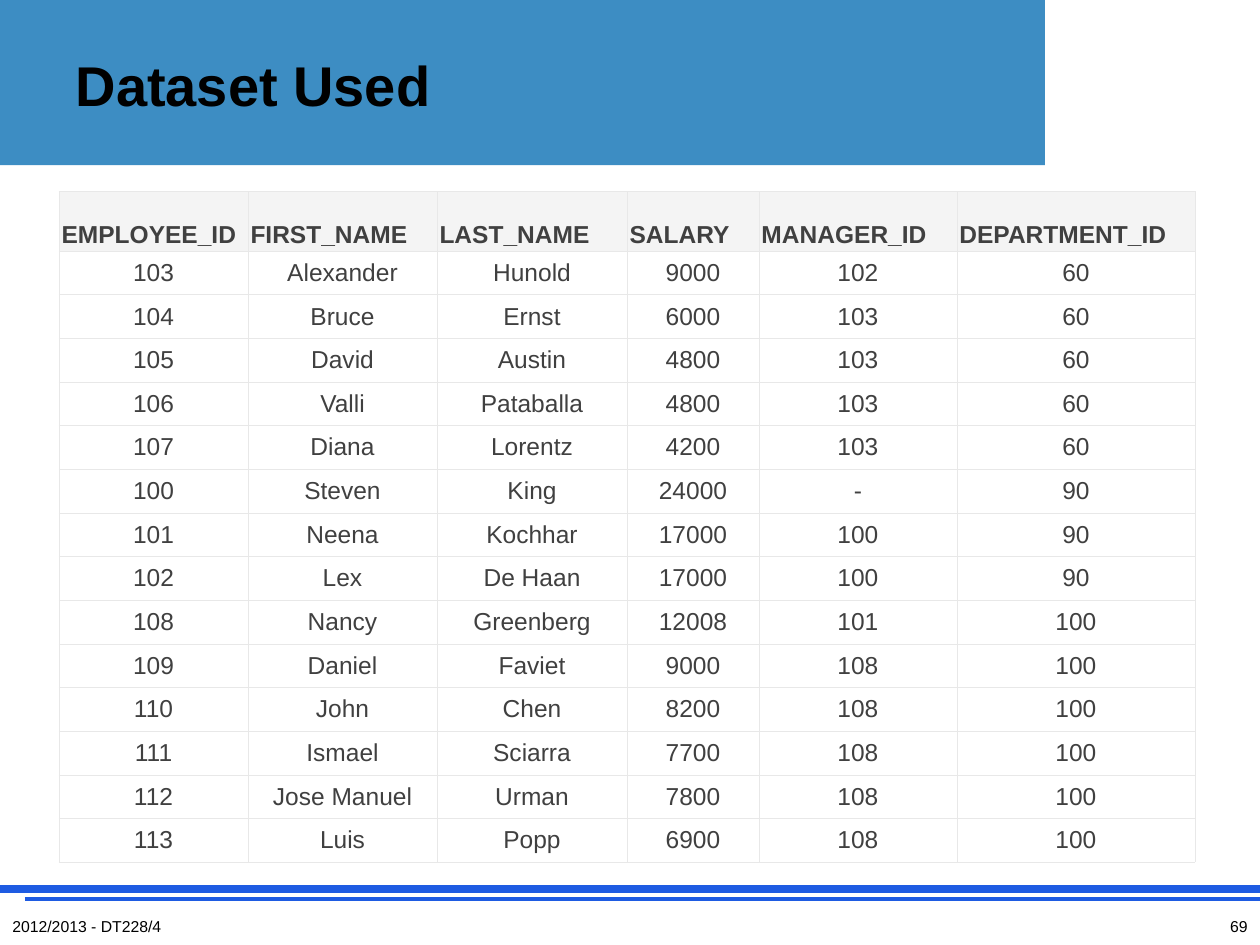
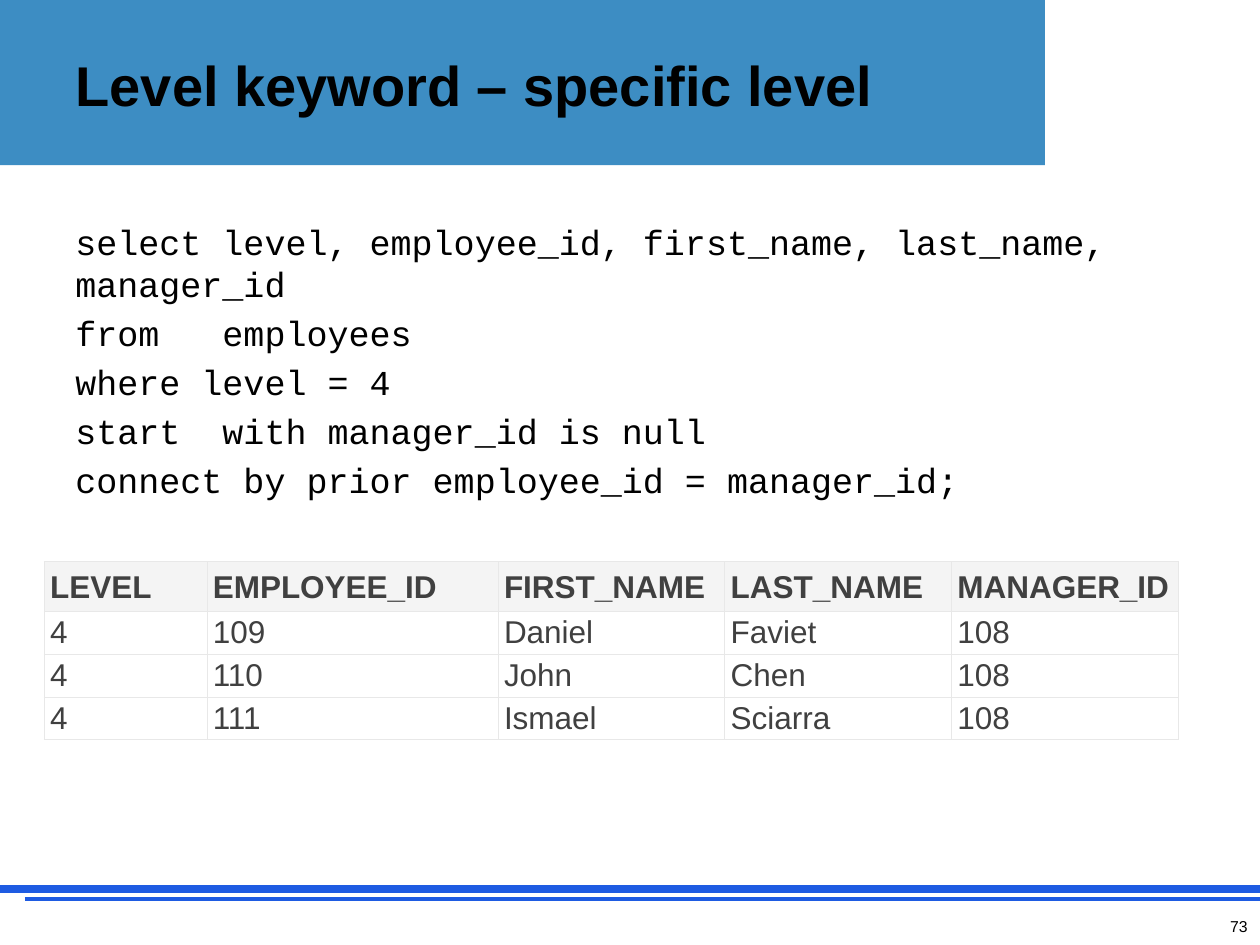
from lxml import etree
from pptx import Presentation
from pptx import util as u
from pptx.dml.color import RGBColor
from pptx.enum import shapes, text
from pptx.oxml import ns

COLOURS = {
    "band": "3D8DC3", "rule": "1E5BE2", "white": "FFFFFF", "black": "000000",
    "cell_text": "404040", "header": "F4F4F4", "border": "E8E8E8",
}
PAGE_WIDTH = 25.4
TITLE_ONLY = 5
LEFT, CENTRE, RIGHT = text.PP_ALIGN.LEFT, text.PP_ALIGN.CENTER, text.PP_ALIGN.RIGHT

EMPLOYEES = """EMPLOYEE_ID,FIRST_NAME,LAST_NAME,SALARY,MANAGER_ID,DEPARTMENT_ID
103,Alexander,Hunold,9000,102,60
104,Bruce,Ernst,6000,103,60
105,David,Austin,4800,103,60
106,Valli,Pataballa,4800,103,60
107,Diana,Lorentz,4200,103,60
100,Steven,King,24000,-,90
101,Neena,Kochhar,17000,100,90
102,Lex,De Haan,17000,100,90
108,Nancy,Greenberg,12008,101,100
109,Daniel,Faviet,9000,108,100
110,John,Chen,8200,108,100
111,Ismael,Sciarra,7700,108,100
112,Jose Manuel,Urman,7800,108,100
113,Luis,Popp,6900,108,100"""

LEVEL_FOUR = """LEVEL,EMPLOYEE_ID,FIRST_NAME,LAST_NAME,MANAGER_ID
4,109,Daniel,Faviet,108
4,110,John,Chen,108
4,111,Ismael,Sciarra,108"""

QUERY = """select level, employee_id, first_name, last_name, manager_id
from   employees
where level = 4
start  with manager_id is null
connect by prior employee_id = manager_id;"""


def colour(name):
    return RGBColor.from_string(COLOURS[name])


def set_all(target, **values):
    for name, value in values.items():
        setattr(target, name, value)


def place(box, left, top, width, height):
    set_all(box, left=u.Cm(left), top=u.Cm(top), width=u.Cm(width), height=u.Cm(height))


def write(frame, lines, size, ink="black", font="Arial", bold=False, align=LEFT, **spacing):
    """Fill a text frame, one paragraph a line; spacing applies after the first."""
    for number, line in enumerate(lines):
        para = frame.paragraphs[0] if number == 0 else frame.add_paragraph()
        para.alignment = align
        if number:
            set_all(para, **spacing)
        span = para.add_run()
        span.text = line
        set_all(span.font, name=font, size=u.Pt(size), bold=bold)
        span.font.color.rgb = colour(ink)


def add_text(page, area, lines, size, **style):
    box = page.shapes.add_textbox(*map(u.Cm, area))
    box.text_frame.word_wrap = True
    write(box.text_frame, lines, size, **style)
    return box


def add_block(page, area, fill, line_width=0):
    block = page.shapes.add_shape(shapes.MSO_SHAPE.RECTANGLE, *map(u.Cm, area))
    block.shadow.inherit = False
    block.fill.solid()
    block.fill.fore_color.rgb = colour(fill)
    if line_width:
        block.line.color.rgb = colour(fill)
        block.line.width = u.Pt(line_width)
    else:
        block.line.fill.background()


def add_rule(page, left, top, weight):
    rule = page.shapes.add_connector(
        shapes.MSO_CONNECTOR.STRAIGHT, u.Cm(left), u.Cm(top), u.Cm(PAGE_WIDTH), u.Cm(top))
    rule.line.color.rgb = colour("rule")
    rule.line.width = u.Pt(weight)
    etree.SubElement(rule.element.spPr, ns.qn("a:effectLst"))


def add_borders(cell):
    properties = cell._tc.get_or_add_tcPr()
    for side in ("lnL", "lnR", "lnT", "lnB"):
        line = etree.SubElement(properties, ns.qn(f"a:{side}"), w=str(u.Pt(0.43)))
        fill = etree.SubElement(line, ns.qn("a:solidFill"))
        etree.SubElement(fill, ns.qn("a:srgbClr"), val=COLOURS["border"])


def add_grid(page, left, top, widths, heights, data, size, insets, align=LEFT):
    """Draw a table; heights and insets give a (header, body) pair."""
    rows = [line.split(",") for line in data.splitlines()]
    header_height, body_height = heights
    total = header_height + body_height * (len(rows) - 1)
    table = page.shapes.add_table(
        len(rows), len(widths), *map(u.Cm, (left, top, sum(widths), total))).table
    set_all(table, first_row=False, horz_banding=False)
    for column, width in zip(table.columns, widths):
        column.width = u.Cm(width)
    for number, values in enumerate(rows):
        header = number == 0
        table.rows[number].height = u.Cm(header_height if header else body_height)
        inset = u.Cm(insets[0] if header else insets[1])
        for cell, value in zip(table.rows[number].cells, values):
            add_borders(cell)
            cell.fill.solid()
            cell.fill.fore_color.rgb = colour("header" if header else "white")
            set_all(cell, margin_left=u.Cm(insets[0]), margin_right=u.Cm(insets[0]),
                    margin_top=inset, margin_bottom=inset,
                    vertical_anchor=text.MSO_ANCHOR.BOTTOM if header else text.MSO_ANCHOR.MIDDLE)
            write(cell.text_frame, [value], size, ink="cell_text", bold=header,
                  align=LEFT if header else align)


def add_page(deck, title, number):
    """Start a slide with the shared band, rules, title and page number."""
    page = deck.slides.add_slide(deck.slide_layouts[TITLE_ONLY])
    add_block(page, (0, 0, PAGE_WIDTH, 3.33), "band")
    add_rule(page, 0, 17.93, 4.5)
    add_rule(page, 0.5, 18.13, 2.25)
    add_block(page, (21.1, 0, 4.3, 3.53), "white", line_width=2)

    # Title goes in front of the band
    heading = page.shapes.title
    heading.element.getparent().append(heading.element)
    place(heading, 1.27, 0.33, 17.42, 2.74)
    heading.text_frame.vertical_anchor = text.MSO_ANCHOR.MIDDLE
    write(heading.text_frame, [title], 32, bold=True)

    add_text(page, (19.48, 18.36, 5.92, 0.69), [str(number)], 9, align=RIGHT)
    return page


def main():
    deck = Presentation()
    set_all(deck, slide_width=u.Cm(PAGE_WIDTH), slide_height=u.Cm(19.05))

    # Dataset
    page = add_page(deck, "Dataset Used", 69)
    add_grid(page, 1.19, 3.86, (3.81, 3.81, 3.83, 2.66, 3.99, 4.8), (1.2, 0.88),
             EMPLOYEES, 14, insets=(0.05, 0.03), align=CENTRE)
    add_text(page, (0, 18.36, 5.92, 0.69), ["2012/2013 - DT228/4"], 9)

    # Query and its result
    page = add_page(deck, "Level keyword – specific level", 73)
    query = add_text(page, (1.27, 4.32, 22.86, 6.5), QUERY.splitlines(), 20,
                     font="Courier New", space_before=u.Pt(4))
    for para in query.text_frame.paragraphs:
        para.line_spacing = u.Pt(24)
    add_grid(page, 0.89, 11.32, (3.28, 5.87, 4.57, 4.57, 4.57), (0.97, 0.83),
             LEVEL_FOUR, 18, insets=(0.12, 0.05))

    deck.save("out.pptx")


if __name__ == "__main__":
    main()
